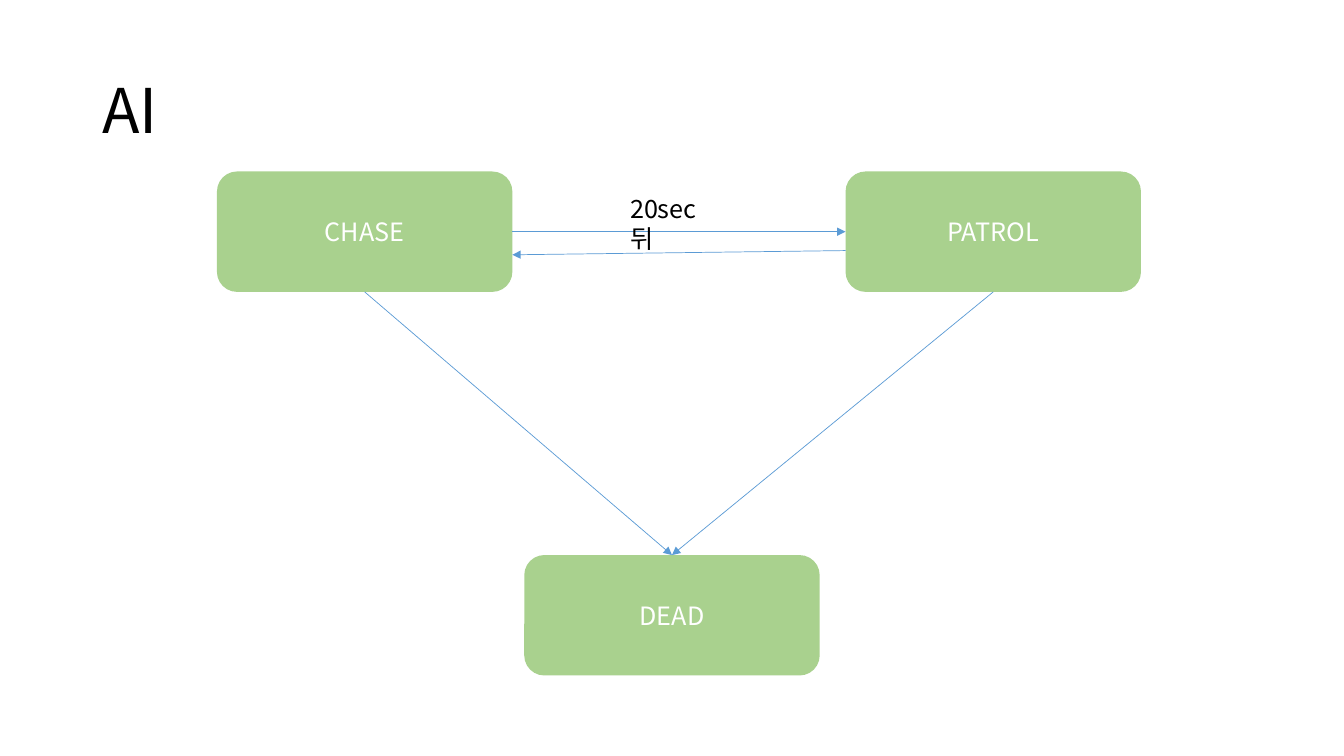
"""Build the AI state diagram slide: chase, patrol and dead states with their transitions."""
from pptx import Presentation
from pptx import util as u
from pptx.dml.color import RGBColor
from pptx.enum import shapes, text
from pptx.oxml.ns import qn
from lxml import etree

COLORS = {"state": "A9D18E", "arrow": "5B9BD5", "ink": "000000", "light": "FFFFFF"}
FONT = "Noto Sans CJK KR"
STATE_W, STATE_H = 211, 86


def rgb(name):
    """Return a palette colour."""
    return RGBColor.from_string(COLORS[name])


def write(sp, words, size, color, anchor, align=text.PP_ALIGN.LEFT, spacing=None):
    """Put one styled paragraph into a shape."""
    tf = sp.text_frame
    tf.word_wrap = True
    tf.vertical_anchor = anchor
    p = tf.paragraphs[0]
    p.text = words
    p.alignment = align
    p.line_spacing = spacing
    p.font.size = u.Pt(size)
    p.font.name = FONT
    p.font.color.rgb = rgb(color)


def add_label(s, box, words, size, anchor, spacing=None):
    """Add a text box filling the given box."""
    sp = s.shapes.add_textbox(*map(u.Pt, box))
    write(sp, words, size, "ink", anchor, spacing=spacing)


def add_state(s, x, y, name):
    """Add a rounded state box."""
    sp = s.shapes.add_shape(shapes.MSO_SHAPE.ROUNDED_RECTANGLE,
                            *map(u.Pt, (x, y, STATE_W, STATE_H)))
    sp.shadow.inherit = False
    sp.fill.solid()
    sp.fill.fore_color.rgb = rgb("state")
    sp.line.fill.background()
    write(sp, name, 18, "light", text.MSO_ANCHOR.MIDDLE, text.PP_ALIGN.CENTER)


def add_arrow(s, start, end):
    """Add a thin arrow from start to end."""
    cx = s.shapes.add_connector(shapes.MSO_CONNECTOR.STRAIGHT, *map(u.Pt, start + end))
    cx.line.color.rgb = rgb("arrow")
    cx.line.width = u.Pt(0.5)
    etree.SubElement(cx.line._get_or_add_ln(), qn("a:tailEnd"), type="triangle")
    etree.SubElement(cx._element.spPr, qn("a:effectLst"))


def add_diagram(s, x, y, w, h):
    """Place the three states and their transitions inside a box."""
    right, bottom = x + w - STATE_W, y + h - STATE_H
    dead_x = x + 219.5
    for left, top, name in ((x, y, "CHASE"), (right, y, "PATROL"), (dead_x, bottom, "DEAD")):
        add_state(s, left, top, name)
    chase_edge, middle = x + STATE_W, y + STATE_H / 2
    add_arrow(s, (chase_edge, middle), (right, middle))
    add_label(s, (x + 288, y + 12, 78, 29), "20sec 뒤", 18, text.MSO_ANCHOR.TOP)
    for left in (right, x):
        add_arrow(s, (left + STATE_W / 2, y + STATE_H), (dead_x + STATE_W / 2, bottom))
    add_arrow(s, (right, middle + 13.5), (chase_edge, middle + 16.5))


def main():
    """Build and save the slide."""
    prs = Presentation()
    prs.slide_width, prs.slide_height = u.Pt(960), u.Pt(540)
    s = prs.slides.add_slide(prs.slide_layouts[6])
    add_label(s, (66, 29, 828, 104), "AI", 44, text.MSO_ANCHOR.MIDDLE, 0.9)
    add_diagram(s, 155, 122.5, 660, 360)
    prs.save("out.pptx")


main()
